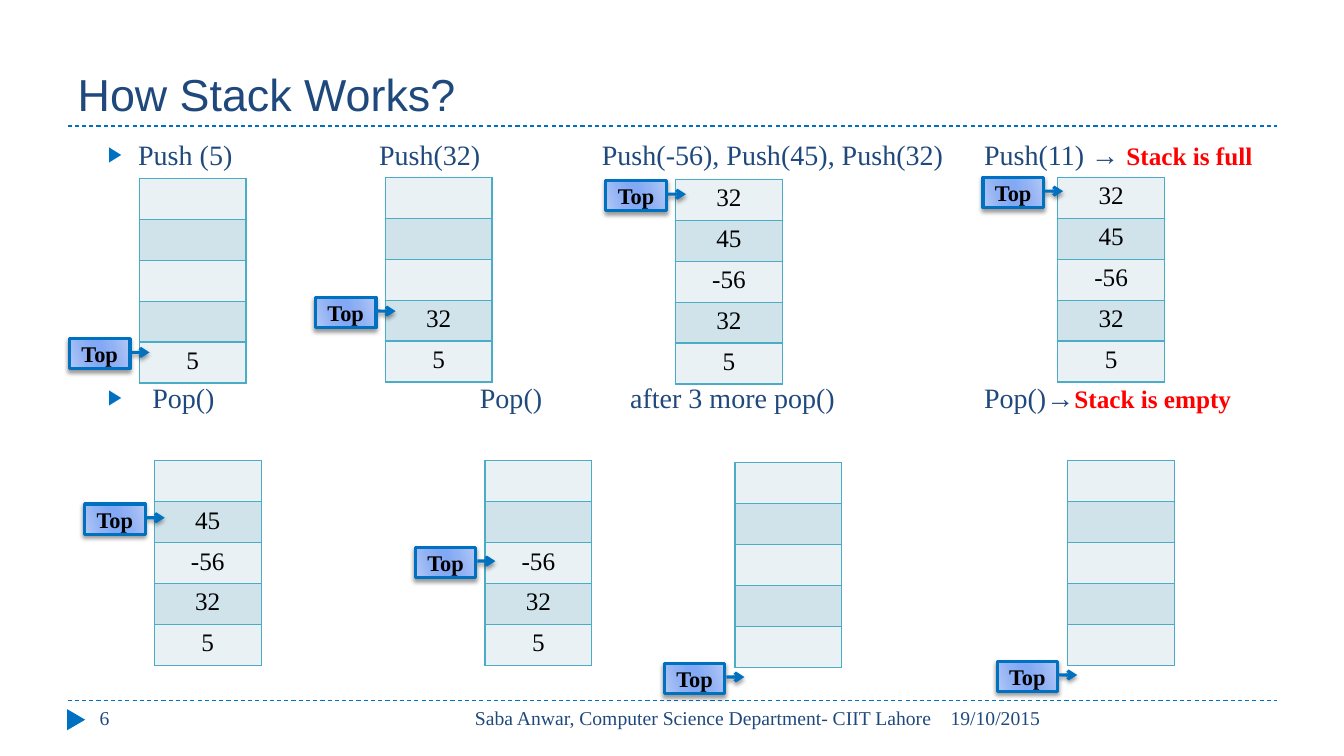
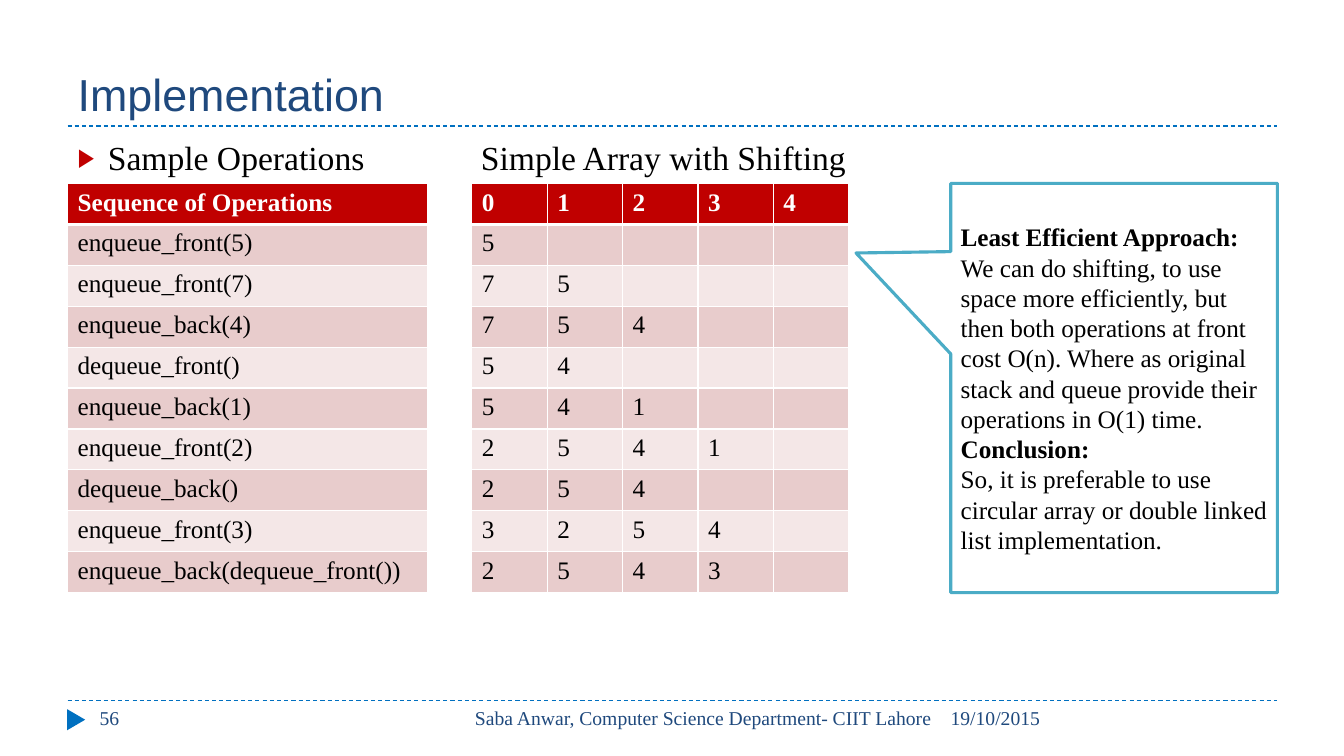
"""Builds two lecture slides: how a stack works, and a deque kept in a shifting array."""
from dataclasses import dataclass

from lxml.etree import SubElement
from pptx import Presentation
from pptx.dml.color import RGBColor
from pptx.enum.dml import MSO_LINE
from pptx.enum.shapes import MSO_CONNECTOR, MSO_SHAPE
from pptx.enum.text import MSO_ANCHOR, PP_ALIGN
from pptx.oxml.ns import qn
from pptx.util import Pt


@dataclass(frozen=True)
class Theme:
    """Colours, fonts and type sizes of the deck."""
    navy: str = "1F497D"
    blue: str = "0070C0"
    teal: str = "4BACC6"
    crimson: str = "C00000"
    red: str = "FF0000"
    black: str = "000000"
    white: str = "FFFFFF"
    stack_bands: tuple = ("E9F1F5", "D0E3EA")
    array_bands: tuple = ("F4E7E7", "E8CCCC")
    marker_stops: tuple = ((0, "B4C9F6"), (30, "90B1F4"), (45, "83A9F4"),
                           (55, "83A9F4"), (73, "90B1F4"), (100, "B4C9F6"))
    heading_font: str = "Arial"
    body_font: str = "Times New Roman"
    title_size: int = 32
    lead_size: int = 24
    caption_size: int = 20
    cell_size: int = 18
    marker_size: int = 16
    footer_size: int = 14


THEME = Theme()
PX = 9144
SLIDE_SIZE = (1333, 750)
EDGES = (67, 1267)
RULE_TOPS = (125, 695)
ROW_HEIGHT = 41
STACK_WIDTH = 106
BODY_TOP = 131
CAPTION_TOPS = (136, 377)

AUTHOR = "Saba Anwar, Computer Science Department- CIIT Lahore"
DATE = "19/10/2015"

STACK_TITLE, STACK_NUMBER = "How Stack Works?", "6"
BULLETS = [("Push (5)", 60, -30), ("Pop()", 74, -44)]
CAPTIONS = [
    (376, 0, "Push(32)", ""),
    (597, 0, "Push(-56), Push(45), Push(32)", ""),
    (976, 0, "Push(11) → ", "Stack is full"),
    (476, 1, "Pop()", ""),
    (625, 1, "after 3 more pop()", ""),
    (976, 1, "Pop()→", "Stack is empty"),
]
STACKS = [
    {"at": (138, 177), "top_mark": (69, 336), "values": ["5"]},
    {"at": (382, 176), "top_mark": (313, 295), "values": ["32", "5"]},
    {"at": (670, 178), "top_mark": (601, 179), "values": ["32", "45", "-56", "32", "5"]},
    {"at": (1049, 176), "top_mark": (975, 176), "values": ["32", "45", "-56", "32", "5"]},
    {"at": (153, 457), "top_mark": (84, 500), "values": ["45", "-56", "32", "5"]},
    {"at": (481, 457), "top_mark": (412, 543), "values": ["-56", "32", "5"]},
    {"at": (729, 459), "top_mark": (659, 658), "values": []},
    {"at": (1059, 457), "top_mark": (989, 656), "values": []},
]
STACK_DEPTH = 5

ARRAY_TITLE, ARRAY_NUMBER = "Implementation", "56"
OPERATIONS_LEAD, ARRAY_LEAD = "Sample Operations", "Simple Array with Shifting"
OPERATIONS = [
    ("enqueue_front(5)", "5"),
    ("enqueue_front(7)", "75"),
    ("enqueue_back(4)", "754"),
    ("dequeue_front()", "54"),
    ("enqueue_back(1)", "541"),
    ("enqueue_front(2)", "2541"),
    ("dequeue_back()", "254"),
    ("enqueue_front(3)", "3254"),
    ("enqueue_back(dequeue_front())", "2543"),
]
ARRAY_LENGTH = 5
VERDICT = [
    ("Least Efficient Approach:", True),
    ("We can do shifting, to use space more efficiently, but then both operations at front "
     "cost O(n). Where as original stack and queue provide their operations in O(1) time.", False),
    ("Conclusion:", True),
    ("So, it is preferable to use circular array or double linked list implementation.", False),
]


def emu(*lengths):
    return [round(length * PX) for length in lengths]


def rgb(color):
    return RGBColor.from_string(color)


def format_run(run, size, color, bold=False, face=THEME.body_font):
    run.font.size, run.font.bold, run.font.name = Pt(size), bold, face
    run.font.color.rgb = rgb(color)


def write(paragraph, text, size, color, bold=False, align=PP_ALIGN.LEFT):
    paragraph.text = text
    paragraph.alignment = align
    for run in paragraph.runs:
        format_run(run, size, color, bold)


def place(part, left, top, width, height):
    part.left, part.top, part.width, part.height = emu(left, top, width, height)


def add_label(slide, box, text, size, color, align=PP_ALIGN.LEFT, inset=0):
    label = slide.shapes.add_textbox(*emu(*box)).text_frame
    label.word_wrap = True
    label.margin_left = label.margin_right = emu(inset)[0]
    label.margin_top = label.margin_bottom = emu(inset / 2)[0]
    write(label.paragraphs[0], text, size, color, align=align)
    return label.paragraphs[0]


def add_bullet(paragraph, text, size, color, bullet_color, margin=30, indent=-30):
    properties = paragraph._p.get_or_add_pPr()
    properties.set("marL", str(margin * PX))
    properties.set("indent", str(indent * PX))
    tint = SubElement(properties, qn("a:buClr"))
    SubElement(tint, qn("a:srgbClr"), val=bullet_color)
    SubElement(properties, qn("a:buSzPct"), val="76000")
    SubElement(properties, qn("a:buFont"), typeface=THEME.heading_font)
    SubElement(properties, qn("a:buChar"), char="▶")
    write(paragraph, text, size, color)
    paragraph.space_before = Pt(0)


def add_frame(deck, title, number):
    slide = deck.slides.add_slide(deck.slide_layouts[1])
    left, right = EDGES
    for top in RULE_TOPS:
        rule = slide.shapes.add_connector(MSO_CONNECTOR.STRAIGHT, *emu(left, top, right, top))
        rule.line.color.rgb = rgb(THEME.blue)
        rule.line.width = Pt(0.75)
        rule.line.dash_style = MSO_LINE.DASH
        SubElement(rule._element.spPr, qn("a:effectLst"))
    pointer = slide.shapes.add_shape(MSO_SHAPE.ISOSCELES_TRIANGLE, *emu(65, 705, 21, 18))
    pointer.rotation = 90
    pointer.shadow.inherit = False
    pointer.fill.solid()
    pointer.fill.fore_color.rgb = rgb(THEME.blue)
    pointer.line.fill.background()

    heading = slide.shapes.title
    place(heading, left, 17, right - left, 108)
    heading.text_frame.text = title
    heading.text_frame.vertical_anchor = MSO_ANCHOR.BOTTOM
    heading.text_frame.paragraphs[0].alignment = PP_ALIGN.LEFT
    format_run(heading.text_frame.paragraphs[0].runs[0], THEME.title_size, THEME.navy,
               face=THEME.heading_font)

    footers = [(89, 289, number, PP_ALIGN.LEFT), (423, 511, AUTHOR, PP_ALIGN.RIGHT),
               (933, 334, DATE, PP_ALIGN.LEFT)]
    for start, width, text, align in footers:
        add_label(slide, (start, RULE_TOPS[1], width, 40), text, THEME.footer_size,
                  THEME.navy, align, inset=10)
    return slide


def add_grid(slide, left, top, width, rows, bands, border, align=PP_ALIGN.LEFT, header=False):
    columns = len(rows[0])
    grid = slide.shapes.add_table(len(rows), columns,
                                  *emu(left, top, width, ROW_HEIGHT * len(rows))).table
    grid.first_row = header
    grid.horz_banding = False
    for column in grid.columns:
        column.width = emu(width / columns)[0]
    for row_index, row in enumerate(rows):
        grid.rows[row_index].height = emu(40.6)[0]
        heads = header and row_index == 0
        for column_index, text in enumerate(row):
            cell = grid.cell(row_index, column_index)
            properties = cell._tc.get_or_add_tcPr()
            for side in "LRTB":
                points = 3 if heads and side == "B" else 1
                edge = SubElement(properties, qn(f"a:ln{side}"), w=str(Pt(points)))
                paint = SubElement(edge, qn("a:solidFill"))
                SubElement(paint, qn("a:srgbClr"), val=border)
            cell.fill.solid()
            cell.fill.fore_color.rgb = rgb(THEME.crimson if heads else bands[row_index % 2])
            if text:
                write(cell.text_frame.paragraphs[0], text, THEME.cell_size,
                      THEME.white if heads else THEME.black, heads, align)


def add_top_mark(slide, left, top):
    mark = slide.shapes.add_shape(MSO_SHAPE.LINE_CALLOUT_1, *emu(left, top, 60, 30))
    for index, ratio in enumerate((0.455, -0.024, 0.457, -0.324)):
        mark.adjustments[index] = ratio
    properties = mark._element.spPr
    properties.find(qn("a:xfrm")).set("flipH", "1")
    mark.fill.gradient()
    mark.fill.gradient_angle = 344
    stops = properties.find(qn("a:gradFill")).find(qn("a:gsLst"))
    for old in list(stops):
        stops.remove(old)
    for percent, color in THEME.marker_stops:
        stop = SubElement(stops, qn("a:gs"), pos=str(percent * 1000))
        SubElement(stop, qn("a:srgbClr"), val=color)
    mark.line.color.rgb = rgb(THEME.blue)
    mark.line.width = Pt(2.25)
    SubElement(properties.find(qn("a:ln")), qn("a:tailEnd"), type="arrow")
    mark.shadow.inherit = False
    shadow = SubElement(properties.find(qn("a:effectLst")), qn("a:outerShdw"),
                        blurRad=str(Pt(3)), dist=str(Pt(2)), dir="5400000", rotWithShape="0")
    shade = SubElement(shadow, qn("a:srgbClr"), val=THEME.black)
    SubElement(shade, qn("a:alpha"), val="40000")
    mark.text_frame.word_wrap = False
    mark.text_frame.vertical_anchor = MSO_ANCHOR.MIDDLE
    write(mark.text_frame.paragraphs[0], "Top", THEME.marker_size, THEME.black, True,
          PP_ALIGN.CENTER)


def build_stack_slide(deck):
    slide = add_frame(deck, STACK_TITLE, STACK_NUMBER)
    body = slide.placeholders[1]
    place(body, EDGES[0], BODY_TOP, 250, 300)
    body.text_frame.text = "\n".join(text for text, _, _ in BULLETS)
    for paragraph, (text, margin, indent) in zip(body.text_frame.paragraphs, BULLETS):
        add_bullet(paragraph, text, THEME.caption_size, THEME.navy, THEME.blue, margin, indent)
    body.text_frame.paragraphs[1].space_before = Pt(150)

    for left, row, text, alert in CAPTIONS:
        caption = add_label(slide, (left, CAPTION_TOPS[row], 350, 32), text,
                            THEME.caption_size, THEME.navy)
        if alert:
            warning = caption.add_run()
            warning.text = alert
            format_run(warning, THEME.cell_size, THEME.red, True)

    for stack in STACKS:
        values = stack["values"]
        rows = [[text] for text in [""] * (STACK_DEPTH - len(values)) + values]
        add_grid(slide, *stack["at"], STACK_WIDTH, rows, THEME.stack_bands, THEME.teal,
                 PP_ALIGN.CENTER)
        add_top_mark(slide, *stack["top_mark"])


def build_array_slide(deck):
    slide = add_frame(deck, ARRAY_TITLE, ARRAY_NUMBER)
    body = slide.placeholders[1]
    place(body, EDGES[0], BODY_TOP, 357, 50)
    add_bullet(body.text_frame.paragraphs[0], OPERATIONS_LEAD, THEME.lead_size,
               THEME.black, THEME.crimson)
    add_label(slide, (477, CAPTION_TOPS[0], 400, 40), ARRAY_LEAD, THEME.lead_size, THEME.black)

    calls = [["Sequence of Operations"]] + [[call] for call, _ in OPERATIONS]
    states = [[str(index) for index in range(ARRAY_LENGTH)]]
    states += [list(state) + [""] * (ARRAY_LENGTH - len(state)) for _, state in OPERATIONS]
    for left, width, rows in ((EDGES[0], 357, calls), (468, 374, states)):
        add_grid(slide, left, 182, width, rows, THEME.array_bands, THEME.white, header=True)

    verdict = slide.shapes.add_shape(MSO_SHAPE.RECTANGULAR_CALLOUT, *emu(943, 182, 324, 406))
    verdict.adjustments[0], verdict.adjustments[1] = -0.79, -0.33
    verdict.shadow.inherit = False
    verdict.fill.solid()
    verdict.fill.fore_color.rgb = rgb(THEME.white)
    verdict.line.color.rgb = rgb(THEME.teal)
    verdict.line.width = Pt(2.25)
    verdict.text_frame.word_wrap = True
    verdict.text_frame.vertical_anchor = MSO_ANCHOR.MIDDLE
    verdict.text_frame.text = "\n".join(text for text, _ in VERDICT)
    for paragraph, (text, bold) in zip(verdict.text_frame.paragraphs, VERDICT):
        write(paragraph, text, THEME.cell_size, THEME.black, bold)


def main():
    deck = Presentation()
    deck.slide_width, deck.slide_height = emu(*SLIDE_SIZE)
    build_stack_slide(deck)
    build_array_slide(deck)
    deck.save("out.pptx")


if __name__ == "__main__":
    main()
